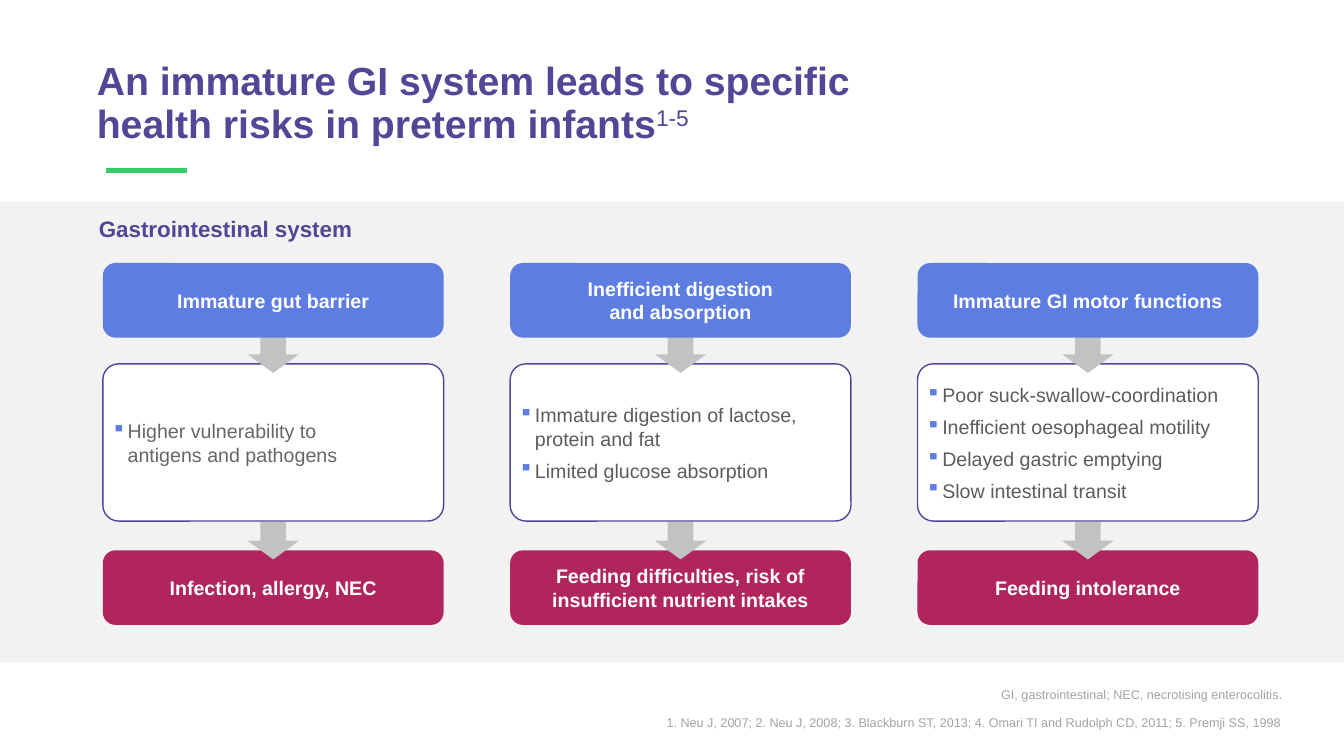
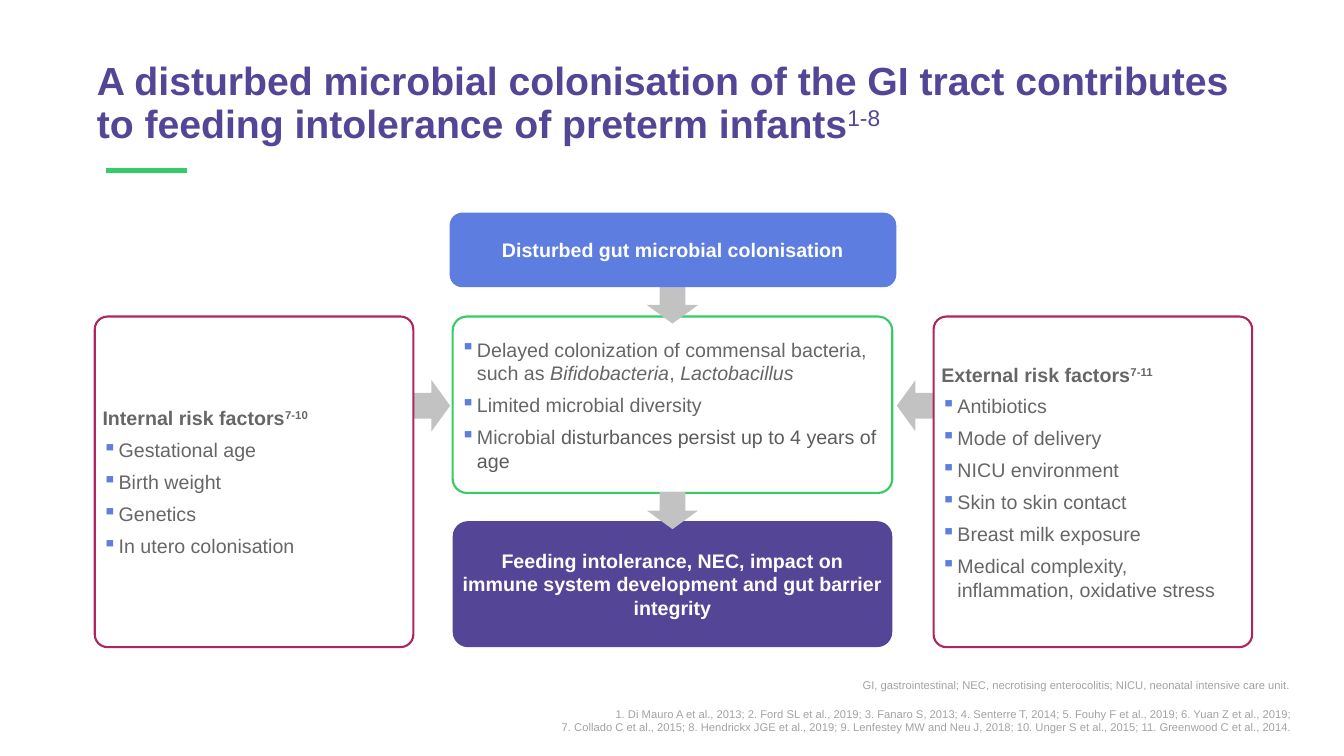
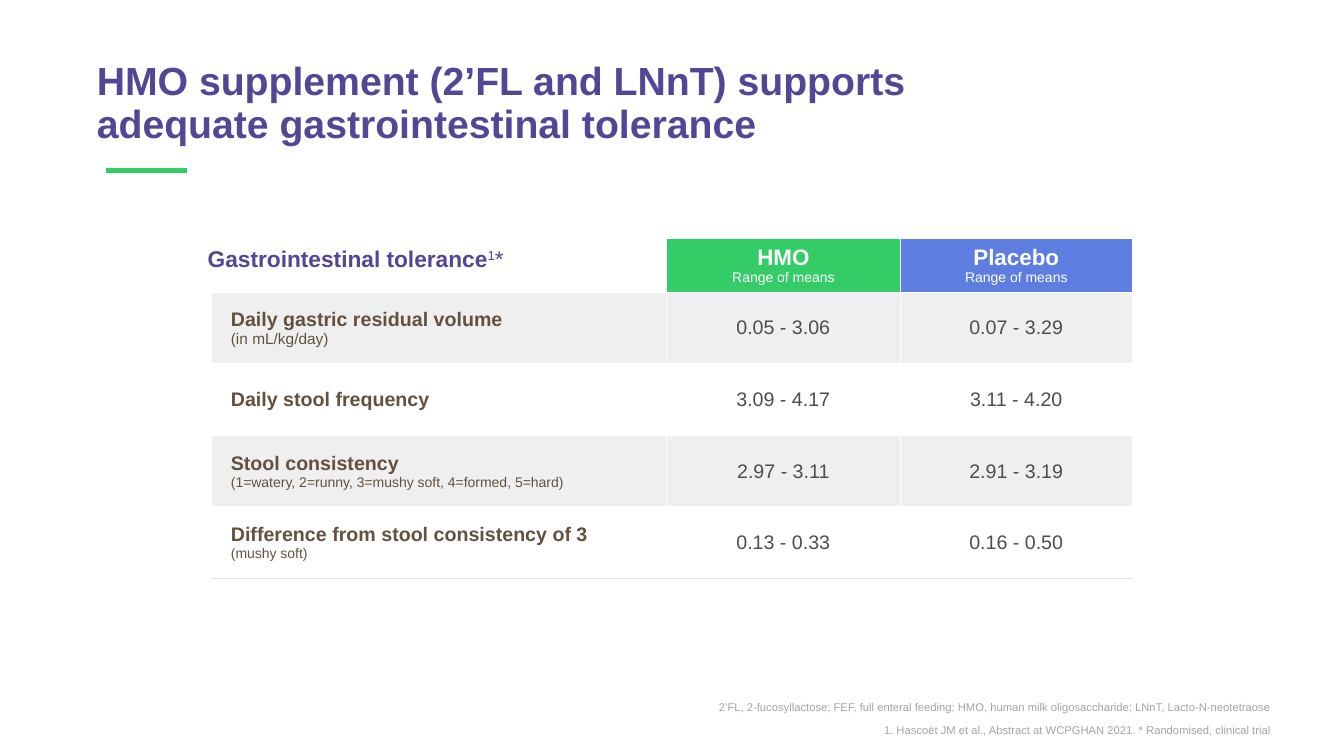
from lxml import etree
from pptx import Presentation
from pptx.dml.color import RGBColor
from pptx.enum.shapes import MSO_CONNECTOR, MSO_SHAPE
from pptx.enum.text import MSO_ANCHOR, MSO_AUTO_SIZE, PP_ALIGN
from pptx.oxml.ns import qn
from pptx.util import Inches, Pt

LEFT, CENTER, RIGHT = PP_ALIGN.LEFT, PP_ALIGN.CENTER, PP_ALIGN.RIGHT
TOP, MIDDLE = MSO_ANCHOR.TOP, MSO_ANCHOR.MIDDLE
RECT, ROUNDED = MSO_SHAPE.RECTANGLE, MSO_SHAPE.ROUNDED_RECTANGLE
DOWN_ARROW = MSO_SHAPE.DOWN_ARROW
STRAIGHT = MSO_CONNECTOR.STRAIGHT
NO_AUTOFIT = MSO_AUTO_SIZE.NONE

FONT = "Arial"
COLORS = {
    "purple": "554596", "green": "33CC66", "blue": "5D7DE1", "berry": "B1255F",
    "white": "FFFFFF", "band": "F2F2F2", "arrow": "C2C2C2", "footnote": "A3A3A3",
    "text": "666666", "dark_text": "5C5C5C", "brown": "63513D", "value": "4D4D4D",
    "stripe": "EFEFEF", "rule": "E0E0E0",
}
ARROW_W, ARROW_H = 0.51, 0.37
BULLET_INDENT = 0.16


def rgb(name):
    return RGBColor.from_string(COLORS[name])


def add_bullet(paragraph):
    properties = paragraph._p.get_or_add_pPr()
    indent = Inches(BULLET_INDENT)
    properties.set("marL", str(indent))
    properties.set("indent", str(-indent))
    color = etree.SubElement(properties, qn("a:buClr"))
    etree.SubElement(color, qn("a:srgbClr"), val=COLORS["blue"])
    etree.SubElement(properties, qn("a:buChar"), char="▪")


def add_run(paragraph, text, size, color, bold=False, italic=False, baseline=0):
    for index, line in enumerate(text.split("\n")):
        if index:
            paragraph.add_line_break()
        run = paragraph.add_run()
        run.text = line
        font = run.font
        font.name, font.size = FONT, Pt(size)
        font.bold, font.italic = bold, italic
        font.color.rgb = rgb(color)
        if baseline:
            run._r.get_or_add_rPr().set("baseline", str(baseline))


def write(frame, paragraphs, align=LEFT, anchor=MIDDLE, after=0, spacing=None,
          bullets_from=None, **run_format):
    """A paragraph is a string or a list of strings and (string, format) pairs."""
    frame.word_wrap = True
    frame.auto_size = NO_AUTOFIT
    frame.vertical_anchor = anchor
    frame.margin_left = frame.margin_right = Inches(0.04)
    frame.margin_top = frame.margin_bottom = Inches(0.03)
    for index, runs in enumerate(paragraphs):
        paragraph = frame.add_paragraph() if index else frame.paragraphs[0]
        if bullets_from is not None and index >= bullets_from:
            add_bullet(paragraph)
        paragraph.alignment = align
        paragraph.space_before, paragraph.space_after = Pt(0), Pt(after)
        if spacing:
            paragraph.line_spacing = spacing
        for run in [runs] if isinstance(runs, str) else runs:
            text, changes = (run, {}) if isinstance(run, str) else run
            add_run(paragraph, text, **{**run_format, **changes})


def superscript(text, bold=False):
    return text, dict(baseline=30000, bold=bold)


def set_borders(cell, bottom):
    properties = cell._tc.get_or_add_tcPr()
    for side in "LRTB":
        line = etree.SubElement(properties, qn(f"a:ln{side}"), w=str(Pt(0.96)))
        fill = etree.SubElement(line, qn("a:solidFill"))
        color = bottom if side == "B" else "white"
        etree.SubElement(fill, qn("a:srgbClr"), val=COLORS[color])


class Deck:
    def __init__(self):
        self.file = Presentation()
        self.file.slide_width, self.file.slide_height = Inches(13.33), Inches(7.5)
        self.slide = None

    def new_slide(self, title, title_width):
        self.slide = self.file.slides.add_slide(self.file.slide_layouts[5])
        heading = self.slide.shapes.title
        heading.left, heading.top = Inches(0.92), Inches(0.4)
        heading.width, heading.height = Inches(title_width), Inches(1.27)
        write(heading.text_frame, [title], size=28, color="purple", bold=True,
              spacing=0.9)
        accent = self.slide.shapes.add_connector(
            STRAIGHT, Inches(1.05), Inches(1.69), Inches(1.85), Inches(1.69))
        accent.line.color.rgb, accent.line.width = rgb("green"), Pt(4)
        etree.SubElement(accent._element.spPr, qn("a:effectLst"))

    def shape(self, kind, left, top, width, height, fill, line=None, line_width=1):
        shape = self.slide.shapes.add_shape(
            kind, Inches(left), Inches(top), Inches(width), Inches(height))
        shape.shadow.inherit = False
        shape.fill.solid()
        shape.fill.fore_color.rgb = rgb(fill)
        if line:
            shape.line.color.rgb, shape.line.width = rgb(line), Pt(line_width)
        else:
            shape.line.fill.background()
        return shape

    def label_box(self, text, left, top, width, height, fill, corner=0.17):
        box = self.shape(ROUNDED, left, top, width, height, fill)
        box.adjustments[0] = corner
        write(box.text_frame, [text], align=CENTER, size=14, color="white", bold=True)

    def list_box(self, items, left, top, width, height, line, line_width=1,
                 corner=0.1, bullets_from=0, color="text"):
        box = self.shape(ROUNDED, left, top, width, height, "white", line, line_width)
        box.adjustments[0] = corner
        write(box.text_frame, items, bullets_from=bullets_from, after=6, size=14,
              color=color)

    def arrow(self, center, top, rotation=0):
        arrow = self.shape(DOWN_ARROW, center - ARROW_W / 2, top, ARROW_W, ARROW_H,
                           "arrow")
        arrow.rotation = rotation

    def text(self, paragraphs, left, top, width, height, **text_format):
        box = self.slide.shapes.add_textbox(
            Inches(left), Inches(top), Inches(width), Inches(height))
        write(box.text_frame, paragraphs, **text_format)

    def footnote(self, paragraphs, left, top, width, height, size=8, anchor=TOP):
        self.text(paragraphs, left, top, width, height, align=RIGHT, anchor=anchor,
                  size=size, color="footnote")

    def cell(self, cell, paragraphs, fill, bottom="white", indent=0.01, **text_format):
        set_borders(cell, bottom)
        cell.fill.solid()
        cell.fill.fore_color.rgb = rgb(fill)
        cell.vertical_anchor = MIDDLE
        if paragraphs:
            write(cell.text_frame, paragraphs, **text_format)
        cell.margin_left, cell.margin_right = Inches(indent), Inches(0.01)
        cell.margin_top = cell.margin_bottom = Inches(0.05)


def gut_risks(deck):
    deck.new_slide(["An immature GI system leads to specific health risks in preterm "
                    "infants", superscript("1-5")], 7.69)
    deck.shape(RECT, 0, 2, 13.33, 4.57, "band")
    deck.text(["Gastrointestinal system"], 0.94, 2.1, 2.71, 0.36, anchor=TOP,
              size=16, color="purple", bold=True)

    # One column per cause: cause, effects, risk
    columns = [
        ("Immature gut barrier", ["Higher vulnerability to\nantigens and pathogens"],
         "Infection, allergy, NEC", "text"),
        ("Inefficient digestion\nand absorption",
         ["Immature digestion of lactose, protein and fat",
          "Limited glucose absorption"],
         "Feeding difficulties, risk of insufficient nutrient intakes", "dark_text"),
        ("Immature GI motor functions",
         ["Poor suck-swallow-coordination", "Inefficient oesophageal motility",
          "Delayed gastric emptying", "Slow intestinal transit"],
         "Feeding intolerance", "dark_text"),
    ]
    width, pitch = 3.38, 4.04
    for index, (cause, effects, risk, color) in enumerate(columns):
        left = 1.02 + index * pitch
        center = left + width / 2
        deck.list_box(effects, left, 3.61, width, 1.56, "purple", color=color)
        deck.label_box(risk, left, 5.46, width, 0.74, "berry")
        deck.arrow(center, 5.18)
        deck.arrow(center, 3.33)
        deck.label_box(cause, left, 2.61, width, 0.74, "blue")

    deck.footnote([["GI, gastrointestinal; NEC, necrotising enterocolitis",
                    (".", dict(size=10))]], 9.75, 6.77, 3.01, 0.26, size=9)
    deck.footnote(["1. Neu J, 2007; 2. Neu J, 2008; 3. Blackburn ST, 2013; "
                   "4. Omari TI and Rudolph CD, 2011; 5. Premji SS, 1998"],
                  6.42, 7.04, 6.32, 0.25, size=9, anchor=MIDDLE)


def microbial_colonisation(deck):
    deck.new_slide(["A disturbed microbial colonisation of the GI tract contributes to "
                    "feeding intolerance of preterm infants", superscript("1-8")], 11.62)
    center = 6.67

    # Risk factors on both sides, pointing inwards
    sides = [
        (0.94, 4.28, 270, "Internal risk factors", "7-10",
         ["Gestational age", "Birth weight", "Genetics", "In utero colonisation"]),
        (9.26, 9.08, 90, "External risk factors", "7-11",
         ["Antibiotics", "Mode of delivery", "NICU environment", "Skin to skin contact",
          "Breast milk exposure", "Medical complexity, inflammation, oxidative stress"]),
    ]
    for left, arrow_center, rotation, heading, references, factors in sides:
        deck.arrow(arrow_center, 3.84, rotation)
        heading_runs = [(heading, dict(bold=True)), superscript(references, bold=True)]
        deck.list_box([heading_runs, *factors], left, 3.14, 3.16, 3.28, "berry", 1.5,
                      corner=0.04, bullets_from=1)

    # Central chain
    italic = dict(italic=True)
    deck.list_box(
        [["Delayed colonization of commensal bacteria, such as ",
          ("Bifidobacteria", italic), ", ", ("Lactobacillus", italic)],
         "Limited microbial diversity",
         ["Microbial ", ("disturbances persist up to 4 years of age",
                         dict(color="dark_text"))]],
        4.49, 3.14, 4.36, 1.75, "green", 1.5, corner=0.08)
    deck.label_box("Feeding intolerance, NEC, impact on immune system development and "
                   "gut barrier integrity", 4.49, 5.17, 4.36, 1.25, "purple",
                   corner=0.12)
    deck.arrow(center, 4.88)
    deck.arrow(center, 2.84)
    deck.label_box("Disturbed gut microbial colonisation", 4.46, 2.11, 4.43, 0.74, "blue")

    deck.footnote(["GI, gastrointestinal; NEC, necrotising enterocolitis; NICU, neonatal "
                   "intensive care unit."], 8.39, 6.7, 4.45, 0.23)
    deck.footnote(
        ["1. Di Mauro A et al., 2013; 2. Ford SL et al., 2019; 3. Fanaro S, 2013; "
         "4. Senterre T, 2014; 5. Fouhy F et al., 2019; 6. Yuan Z et al., 2019;",
         "7. Collado C et al., 2015; 8. Hendrickx JGE et al., 2019; 9. Lenfestey MW and "
         "Neu J, 2018; 10. Unger S et al., 2015; 11. Greenwood C et al., 2014."],
        4.36, 6.97, 8.5, 0.36, anchor=MIDDLE)


def tolerance_table(deck):
    deck.new_slide("HMO supplement (2’FL and LNnT) supports adequate gastrointestinal "
                   "tolerance", 8.73)
    measures = [
        ("Daily gastric residual volume", "(in mL/kg/day)", 11,
         "0.05 - 3.06", "0.07 - 3.29"),
        ("Daily stool frequency", None, 10, "3.09 - 4.17", "3.11 - 4.20"),
        ("Stool consistency", "(1=watery, 2=runny, 3=mushy soft, 4=formed, 5=hard)", 10,
         "2.97 - 3.11", "2.91 - 3.19"),
        ("Difference from stool consistency of 3", "(mushy soft)", 10,
         "0.13 - 0.33", "0.16 - 0.50"),
    ]
    table = deck.slide.shapes.add_table(
        len(measures) + 1, 3, Inches(2.1), Inches(2.37), Inches(9.13),
        Inches(3.37)).table
    table.first_row = table.horz_banding = False
    for column, width in zip(table.columns, (4.51, 2.32, 2.3)):
        column.width = Inches(width)
    for index, row in enumerate(table.rows):
        row.height = Inches(0.71 if index else 0.53)

    # Header row
    deck.cell(table.cell(0, 0), [], "white")
    for column, (group, fill) in enumerate([("HMO", "green"), ("Placebo", "blue")], 1):
        deck.cell(table.cell(0, column),
                  [[(group, dict(size=16, bold=True))], "Range of means"], fill,
                  align=CENTER, size=10, color="white")

    # Measures
    for row, (measure, note, note_size, *ranges) in enumerate(measures, 1):
        style = dict(fill="stripe" if row % 2 else "white",
                     bottom="rule" if row == len(measures) else "white")
        lines = [[(measure, dict(size=14, bold=True))]] + ([note] if note else [])
        deck.cell(table.cell(row, 0), lines, indent=0.19, size=note_size,
                  color="brown", **style)
        for column, value in enumerate(ranges, 1):
            deck.cell(table.cell(row, column), [value], align=CENTER, size=14,
                      color="value", **style)

    deck.text([["Gastrointestinal tolerance", superscript("1"), ("*", dict(bold=False))]],
              2.02, 2.4, 4.7, 0.33, size=16.2, color="purple", bold=True)
    deck.footnote(["2’FL, 2-fucosyllactose; FEF, full enteral feeding; HMO, human milk "
                   "oligosaccharide; LNnT, Lacto-N-neotetraose"], 6.71, 6.92, 5.94, 0.23)
    deck.footnote(["1. Hascoët JM et al., Abstract at WCPGHAN 2021. * Randomised, "
                   "clinical trial"], 6.71, 7.15, 5.94, 0.23)


def main():
    deck = Deck()
    gut_risks(deck)
    microbial_colonisation(deck)
    tolerance_table(deck)
    deck.file.save("out.pptx")


if __name__ == "__main__":
    main()
